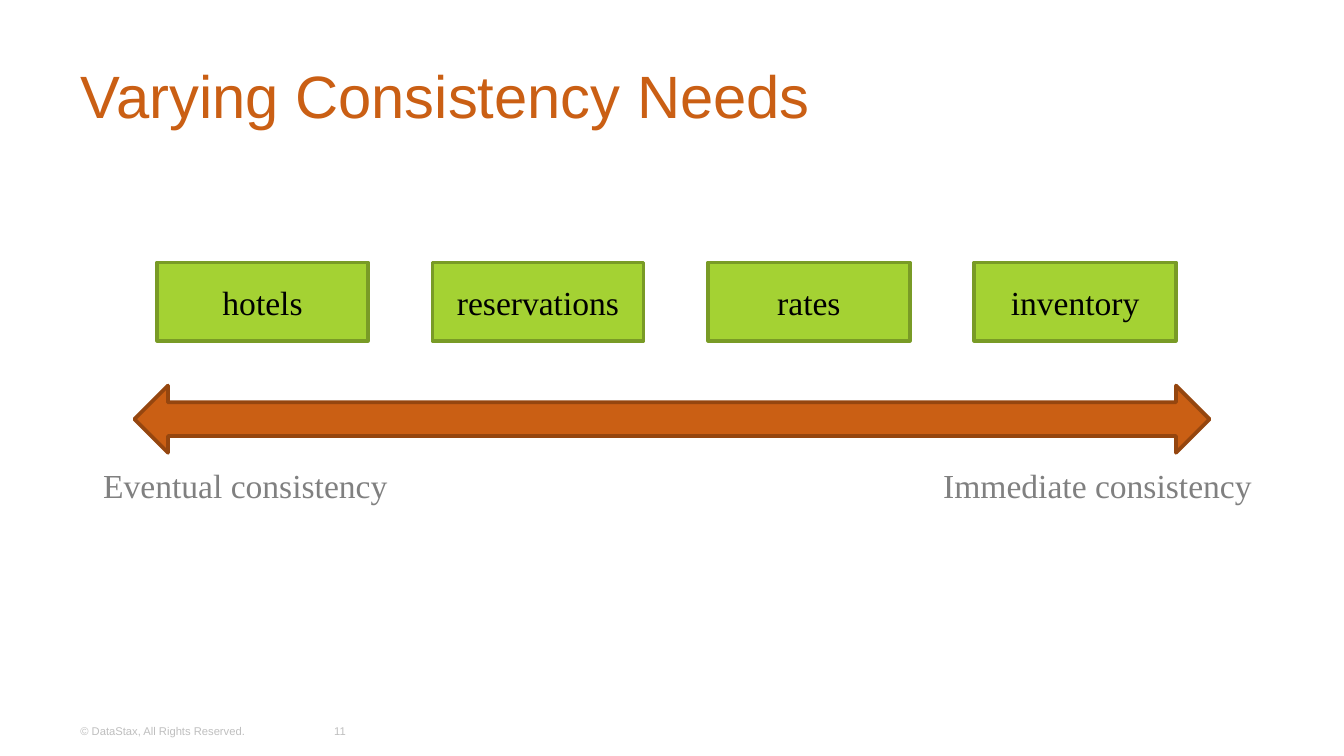
from lxml.etree import SubElement
from pptx import Presentation
from pptx.dml.color import RGBColor
from pptx.enum.shapes import MSO_SHAPE
from pptx.enum.text import MSO_ANCHOR, PP_ALIGN
from pptx.oxml import parse_xml
from pptx.oxml.ns import nsdecls
from pptx.util import Pt

ORANGE, GREEN, GRAY = "CA5F14", "A4D233", "808080"
TEXT_SHADOW = (
    f'<a:effectLst {nsdecls("a")}>'
    '<a:outerShdw blurRad="50800" dist="38100" dir="2700000" algn="tl">'
    '<a:srgbClr val="000000"><a:alpha val="40000"/></a:srgbClr>'
    '</a:outerShdw></a:effectLst>'
)


def write(shape, text, size, font, color, align=PP_ALIGN.LEFT, anchor=MSO_ANCHOR.MIDDLE):
    """Put one formatted run into the shape and return the run."""
    frame = shape.text_frame
    frame.word_wrap = True
    frame.vertical_anchor = anchor
    paragraph = frame.paragraphs[0]
    paragraph.alignment = align
    run = paragraph.add_run()
    run.text = text
    for name, value in {"size": Pt(size), "name": font}.items():
        setattr(run.font, name, value)
    run.font.color.rgb = RGBColor.from_string(color)
    return run


def add_outlined(kind, left, top, width, height, fill, line):
    shape = slide.shapes.add_shape(kind, Pt(left), Pt(top), Pt(width), Pt(height))
    shape.shadow.inherit = False
    shape.fill.solid()
    shape.fill.fore_color.rgb = RGBColor.from_string(fill)
    shape.line.color.rgb = RGBColor.from_string(line)
    shape.line.width = Pt(2)
    return shape


presentation = Presentation()
presentation.slide_width, presentation.slide_height = Pt(720), Pt(405)
slide = presentation.slides.add_slide(presentation.slide_layouts[5])

title = slide.shapes.title
title_place = {"left": 36, "top": 16.6, "width": 648, "height": 67.7}
for name, value in title_place.items():
    setattr(title, name, Pt(value))
write(title, "Varying Consistency Needs", 32, "Arial", ORANGE)

# Footer
for text, left, width, align in [
    ("© DataStax, All Rights Reserved.", 36, 125.3, PP_ALIGN.LEFT),
    ("11", 166.3, 31.7, PP_ALIGN.CENTER),
]:
    footer = slide.shapes.add_textbox(Pt(left), Pt(380.9), Pt(width), Pt(21.6))
    write(footer, text, 6, "Arial", "BFBFBF", align)

# Consistency scale with its two ends
add_outlined(MSO_SHAPE.LEFT_RIGHT_ARROW, 72, 206.6, 576, 36, ORANGE, "95460F")
for text, left, width in [
    ("Eventual consistency", 48.2, 185.8),
    ("Immediate consistency", 498.2, 198),
]:
    label = slide.shapes.add_textbox(Pt(left), Pt(245.5), Pt(width), Pt(28.8))
    run = write(label, text, 18, "Times New Roman", GRAY, anchor=MSO_ANCHOR.TOP)
    # The effect list has to stand between the fill and the typeface
    run.font.fill._xPr.find("{*}solidFill").addnext(parse_xml(TEXT_SHADOW))

# Data sets along the scale, at equal gaps
left, gap = 84.2, 34.6
for name, width in [("hotels", 113), ("reservations", 113), ("rates", 108), ("inventory", 108)]:
    box = add_outlined(MSO_SHAPE.RECTANGLE, left, 140.6, width, 42, GREEN, "799B26")
    write(box, name, 18, "Times New Roman", "000000", PP_ALIGN.CENTER)
    left += width + gap

presentation.save("out.pptx")
